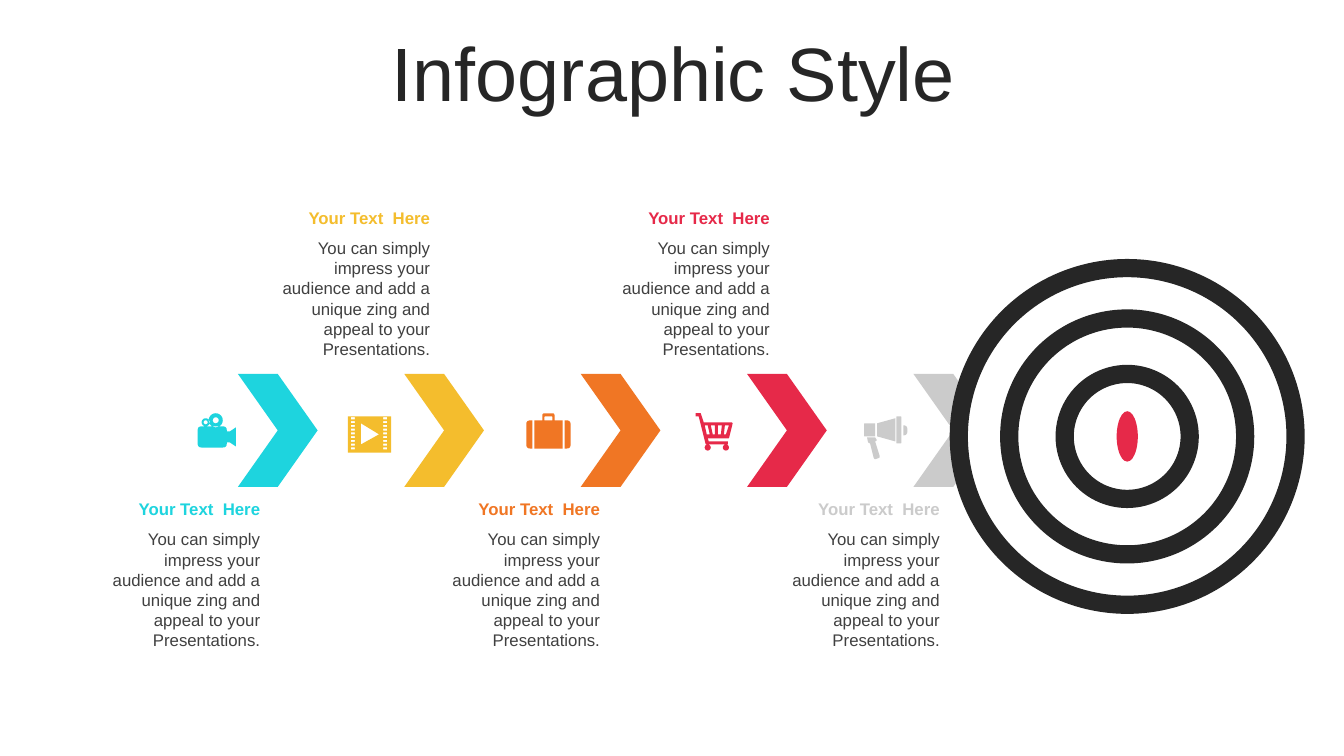
from dataclasses import dataclass
from math import cos, pi, sin

from pptx import Presentation
from pptx.dml.color import RGBColor
from pptx.enum.shapes import MSO_SHAPE
from pptx.enum.text import MSO_ANCHOR, MSO_AUTO_SIZE, PP_ALIGN
from pptx.util import Inches, Pt

Point = tuple[float, float]
Outline = list[Point]

DARK, BODY_GREY, WHITE, RED = "262626", "404040", "FFFFFF", "E62949"
HEADING = "Your Text  Here"
DESCRIPTION = ("You can simply impress your audience and add a unique zing "
               "and appeal to your Presentations.")


@dataclass
class Step:
    color: str
    chevron_left: float
    icon: list[Outline]


# Outline helpers: all coordinates are inches on the slide
def rect(left: float, top: float, width: float, height: float) -> Outline:
    right, bottom = left + width, top + height
    return [(left, top), (right, top), (right, bottom), (left, bottom)]


def disc(x: float, y: float, radius: float) -> Outline:
    angles = [2 * pi * i / 24 for i in range(24)]
    return [(x + radius * cos(a), y + radius * sin(a)) for a in angles]


def rounded(corners: list[tuple[float, ...]]) -> Outline:
    """Polygon whose (x, y, radius) corners are softened; (x, y) stay sharp."""
    outline: Outline = []
    for i, (x, y, *radius) in enumerate(corners):
        if not radius:
            outline.append((x, y))
            continue
        ends = []
        for nx, ny, *_ in (corners[i - 1], corners[(i + 1) % len(corners)]):
            share = radius[0] / ((nx - x) ** 2 + (ny - y) ** 2) ** 0.5
            ends.append((x + (nx - x) * share, y + (ny - y) * share))
        (ax, ay), (bx, by) = ends
        for t in (0, 0.25, 0.5, 0.75, 1):
            u = 1 - t
            outline.append((u * u * ax + 2 * u * t * x + t * t * bx,
                            u * u * ay + 2 * u * t * y + t * t * by))
    return outline


# Icons
CAMERA = [
    rounded([(1.96, 4.23, 0.04), (2.25, 4.23, 0.04), (2.25, 4.28), (2.28, 4.28),
             (2.34, 4.24), (2.34, 4.43), (2.28, 4.39), (2.25, 4.39),
             (2.25, 4.44, 0.04), (1.96, 4.44, 0.04)]),
    disc(2.14, 4.17, 0.07), disc(2.14, 4.17, 0.03),
    disc(2.04, 4.19, 0.04), disc(2.04, 4.19, 0.02),
]
FILM = [
    rect(3.45, 4.13, 0.43, 0.36),
    [(3.58, 4.2), (3.58, 4.41), (3.76, 4.31)],
    *[rect(left, 4.14 + 0.3 * row / 8, 0.04, 0.02)
      for left in (3.48, 3.8) for row in range(9)],
]
SUITCASE = [
    rounded([(5.6, 4.17), (5.66, 4.17, 0.04), (5.66, 4.45, 0.04), (5.6, 4.45)]),
    rounded([(5.28, 4.17), (5.22, 4.17, 0.04), (5.22, 4.45, 0.04), (5.28, 4.45)]),
    rounded([(5.38, 4.1, 0.02), (5.5, 4.1, 0.02), (5.5, 4.17), (5.58, 4.17),
             (5.58, 4.45), (5.3, 4.45), (5.3, 4.17), (5.38, 4.17)]),
    rounded([(5.4, 4.13, 0.01), (5.48, 4.13, 0.01), (5.48, 4.17), (5.4, 4.17)]),
]
CART = [
    rounded([(6.95, 4.1), (6.98, 4.19), (7.27, 4.19, 0.02), (7.23, 4.35, 0.01),
             (7.02, 4.35), (7.03, 4.38), (7.22, 4.38), (7.22, 4.41),
             (7, 4.41), (6.93, 4.13), (6.9, 4.13), (6.9, 4.1)]),
    [(6.99, 4.22), (7.01, 4.31), (7.04, 4.31), (7.02, 4.22)],
    [(7.05, 4.22), (7.07, 4.31), (7.09, 4.31), (7.09, 4.22)],
    [(7.12, 4.22), (7.12, 4.31), (7.15, 4.31), (7.16, 4.22)],
    [(7.19, 4.22), (7.18, 4.31), (7.2, 4.31), (7.23, 4.22)],
    disc(7.02, 4.44, 0.03), disc(7.2, 4.44, 0.03),
]
MEGAPHONE = [
    rounded([(8.6, 4.34), (8.68, 4.34), (8.7, 4.37, 0.01), (8.68, 4.38),
             (8.73, 4.54, 0.02), (8.67, 4.56, 0.02), (8.63, 4.4),
             (8.61, 4.39, 0.01)]),
    rounded([(8.57, 4.2, 0.01), (8.68, 4.2), (8.68, 4.33), (8.57, 4.33, 0.01)]),
    [(8.7, 4.2), (8.88, 4.15), (8.88, 4.38), (8.7, 4.33)],
    rounded([(8.89, 4.13, 0.01), (8.94, 4.13, 0.01),
             (8.94, 4.4, 0.01), (8.89, 4.4, 0.01)]),
    rounded([(8.96, 4.22), (9, 4.22, 0.04), (9, 4.32, 0.04), (8.96, 4.32)]),
]

STEPS = [
    Step("1ED4DE", 2.36, CAMERA),
    Step("F4BD2D", 4.01, FILM),
    Step("F07624", 5.76, SUITCASE),
    Step(RED, 7.41, CART),
    Step("CBCBCB", 9.06, MEGAPHONE),
]


# Drawing functions
def rgb(color: str) -> RGBColor:
    return RGBColor.from_string(color)


def paint(shape, fill: str, line: str = "", line_width: float = 0) -> None:
    shape.shadow.inherit = False
    shape.fill.solid()
    shape.fill.fore_color.rgb = rgb(fill)
    if line:
        shape.line.color.rgb = rgb(line)
        shape.line.width = Pt(line_width)
    else:
        shape.line.fill.background()


def add_text(shapes, box: tuple[float, ...], text: str, size: float, color: str,
             align: PP_ALIGN, bold: bool = False):
    frame = shapes.add_textbox(*map(Inches, box)).text_frame
    frame.word_wrap = True
    frame.text = text
    paragraph = frame.paragraphs[0]
    paragraph.alignment = align
    font = paragraph.runs[0].font
    font.name, font.size, font.bold = "Arial", Pt(size), bold
    font.color.rgb = rgb(color)
    return frame


def add_caption(slide, left: float, top: float, color: str) -> None:
    caption = slide.shapes.add_group_shape().shapes
    for box, text, text_color, bold in (
            ((left, top + 0.3, 1.82, 1.31), DESCRIPTION, BODY_GREY, False),
            ((left, top, 1.82, 0.3), HEADING, color, True)):
        frame = add_text(caption, box, text, 12, text_color, PP_ALIGN.RIGHT, bold)
        frame.auto_size = MSO_AUTO_SIZE.SHAPE_TO_FIT_TEXT


def add_icon(slide, outlines: list[Outline], color: str) -> None:
    contours = [[(Inches(x), Inches(y)) for x, y in outline] for outline in outlines]
    builder = slide.shapes.build_freeform(*contours[0][0])
    for i, (start, *rest) in enumerate(contours):
        if i:
            builder.move_to(*start)
        builder.add_line_segments(rest, close=True)
    paint(builder.convert_to_shape(), color)


def add_target(slide, center_x: float, center_y: float) -> None:
    target = slide.shapes.add_group_shape().shapes

    def add_ellipse(width: float, height: float):
        return target.add_shape(
            MSO_SHAPE.OVAL, Inches(center_x - width / 2),
            Inches(center_y - height / 2), Inches(width), Inches(height))

    for diameter in (3.34, 2.34, 1.24):
        paint(add_ellipse(diameter, diameter), WHITE, DARK, 13)
    paint(add_ellipse(0.21, 0.5), RED)


def main() -> None:
    presentation = Presentation()
    presentation.slide_width, presentation.slide_height = Inches(13.33), Inches(7.5)
    slide = presentation.slides.add_slide(presentation.slide_layouts[6])

    # Title
    title = add_text(slide.shapes, (0.35, 0.37, 12.66, 0.79), "Infographic Style",
                     54, DARK, PP_ALIGN.CENTER)
    title.vertical_anchor = MSO_ANCHOR.MIDDLE
    title.paragraphs[0].line_spacing = 0.9

    # Steps, with captions alternating below and above the arrows
    for i, step in enumerate(STEPS):
        chevron = slide.shapes.add_shape(
            MSO_SHAPE.CHEVRON, Inches(step.chevron_left), Inches(3.71),
            Inches(0.79), Inches(1.12))
        paint(chevron, step.color)
        add_caption(slide, 0.86 + 1.685 * i, 2.01 if i % 2 else 4.9, step.color)
        add_icon(slide, step.icon, step.color)

    # Target
    add_target(slide, 11.18, 4.33)
    presentation.save("out.pptx")


if __name__ == "__main__":
    main()
